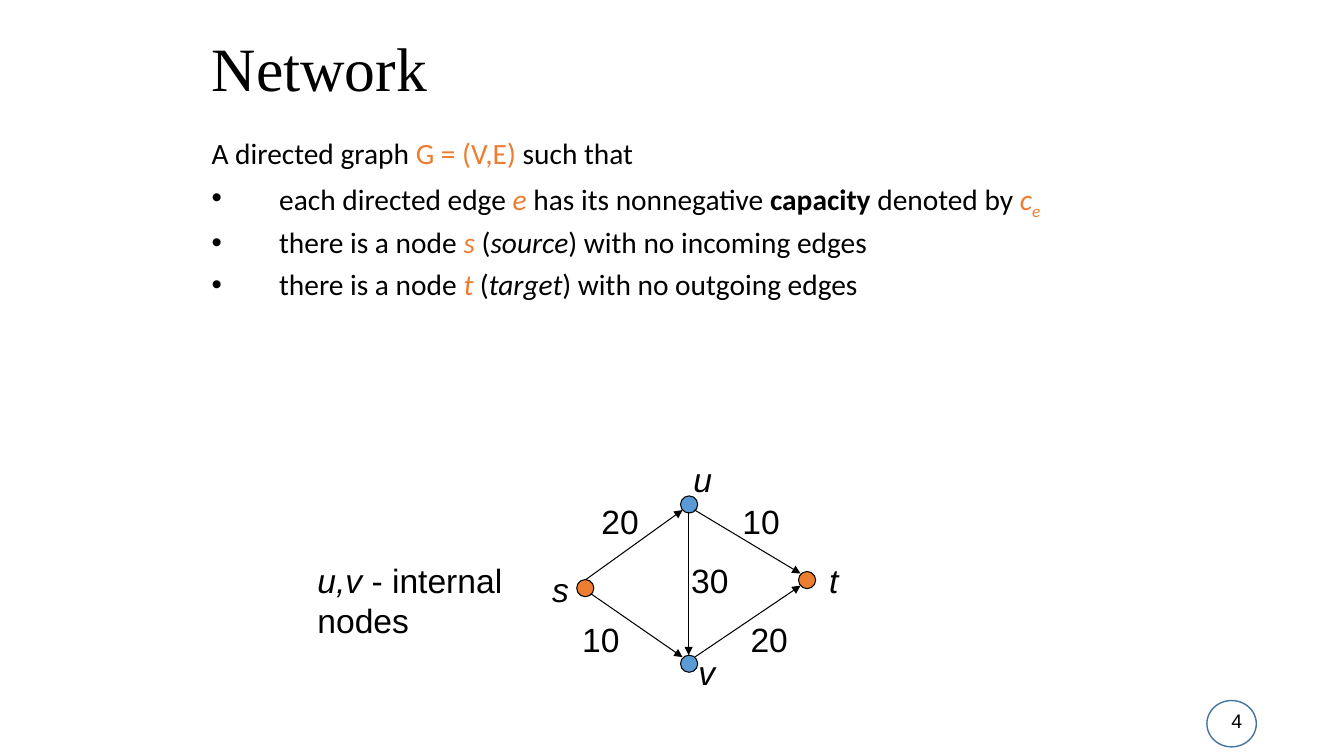
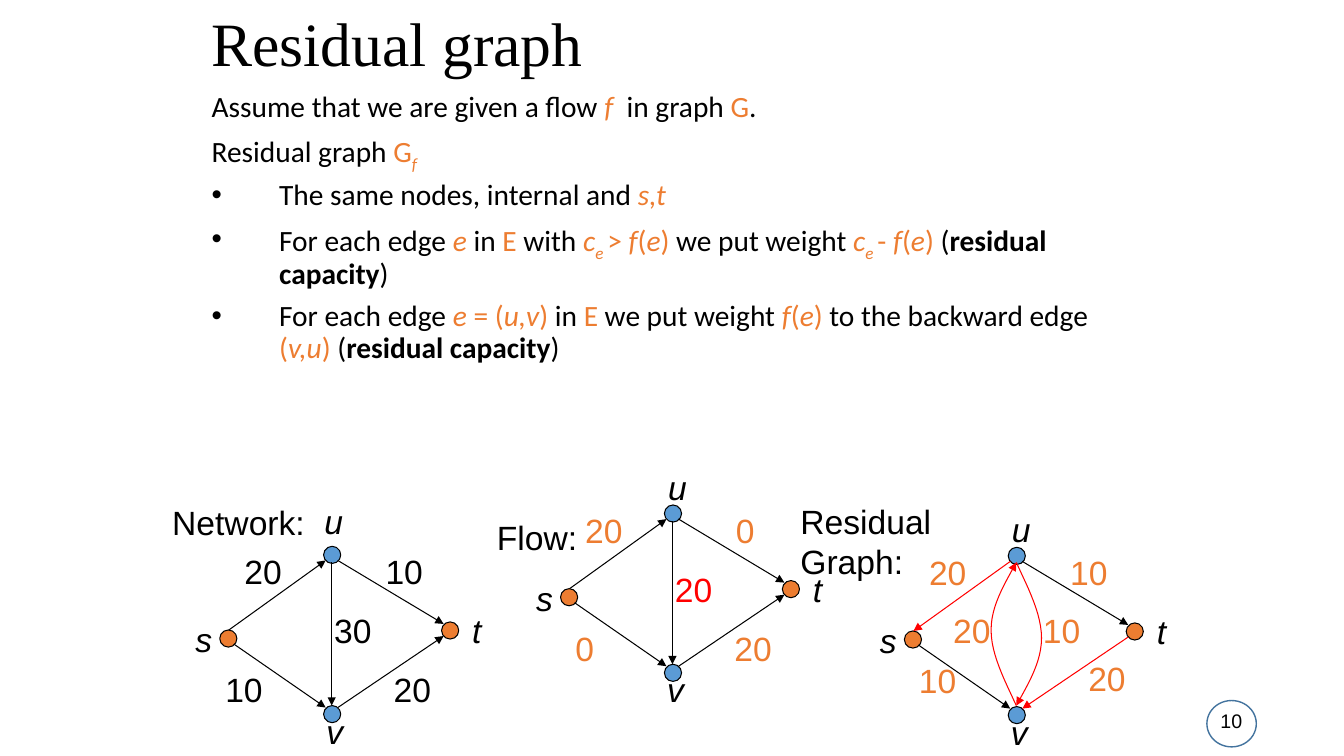
from lxml.etree import SubElement
from pptx import Presentation
from pptx.dml.color import RGBColor
from pptx.enum.shapes import MSO_CONNECTOR as Connector, MSO_SHAPE as Shape
from pptx.enum.text import MSO_ANCHOR as Anchor, MSO_AUTO_SIZE as AutoSize, PP_ALIGN as Align
from pptx.oxml.ns import qn
from pptx.util import Inches, Pt

BLACK, ORANGE, BLUE, RED, RING = "000000", "ED7D31", "5B9BD5", "FF0000", "43739E"
TITLE_FONT, BODY_FONT, LABEL_FONT = "Times New Roman", "Calibri", "Arial"

# Style letters: o orange, i italic, b bold, s subscript
SLIDES = [
    {
        "title": "Network", "title_top": 0.08, "body_top": 1.33, "number": "4",
        "intro": [
            [("A directed graph ", ""), ("G = (V,E)", "o"), (" such that", "")],
        ],
        "points": [
            [("each directed edge ", ""), ("e", "oi"), (" has its nonnegative ", ""),
             ("capacity", "b"), (" denoted by ", ""), ("c", "oi"), ("e", "ois")],
            [("there is a node ", ""), ("s", "oi"), (" (", ""), ("source", "i"),
             (") with no incoming edges", "")],
            [("there is a node ", ""), ("t", "oi"), (" (", ""), ("target", "i"),
             (") with no outgoing edges", "")],
        ],
        "graphs": [
            {"origin": (5.72, 4.92), "colour": BLACK,
             "weights": {"su": "20", "ut": "10", "sv": "10", "vt": "20", "uv": "30"},
             "moved": {"u": (1.25, -0.42), "v": (1.29, 1.5)}},
        ],
        "captions": [
            (3.05, 5.5, 2.05, 0.91, [[("u,v", "i"), (" - internal", "")], [("nodes", "")]]),
        ],
    },
    {
        "title": "Residual graph", "title_top": -0.16, "body_top": 0.86, "number": "10",
        "intro": [
            [("Assume that we are given a flow ", ""), ("f  ", "oi"), ("in graph ", ""),
             ("G", "o"), (".", "")],
            [("Residual graph ", ""), ("G", "o"), ("f", "ois")],
        ],
        "points": [
            [("The same nodes, internal and ", ""), ("s,t", "oi")],
            [("For each edge ", ""), ("e", "oi"), (" in ", ""), ("E", "o"), (" with ", ""),
             ("c", "oi"), ("e ", "ois"), ("> ", "o"), ("f", "oi"), ("(", "o"), ("e", "oi"),
             (")", "o"), (" we put weight ", ""), ("c", "oi"), ("e ", "ois"), ("- ", "o"),
             ("f", "oi"), ("(", "o"), ("e", "oi"), (")", "o"), (" (", ""),
             ("residual capacity", "b"), (")", "")],
            [("For each edge ", ""), ("e ", "oi"), ("= (", "o"), ("u,v", "oi"), (")", "o"),
             (" in ", ""), ("E", "o"), (" we put weight ", ""), ("f", "oi"), ("(", "o"),
             ("e", "oi"), (")", "o"), (" to the backward edge ", ""), ("(", "o"),
             ("v,u", "oi"), (") ", "o"), ("(", ""), ("residual capacity", "b"), (")", "")],
        ],
        "graphs": [
            {"origin": (2.18, 5.42), "colour": BLACK,
             "weights": {"su": "20", "ut": "10", "sv": "10", "vt": "20", "uv": "30"},
             "moved": {"u": (1.13, -0.5)}},
            {"origin": (5.56, 5.01), "colour": ORANGE, "uv_colour": RED,
             "weights": {"su": "20", "ut": "0", "sv": "0", "vt": "20", "uv": "20"}},
            {"origin": (8.97, 5.43), "colour": ORANGE, "backward": ("su", "vt"), "curved": True,
             "weights": {"su": "20", "ut": "10", "sv": "10", "vt": "20", "uv": "10", "vu": "20"},
             "moved": {"sv": (0.33, 1.07), "vt": (2.01, 1.05), "uv": (1.56, 0.57)}},
        ],
        "captions": [
            (1.61, 4.92, 1.53, 0.51, [[("Network:", "")]]),
            (4.83, 5.08, 1, 0.5, [[("Flow:", "")]]),
            (7.84, 4.91, 1.51, 0.91, [[("Residual", "")], [("Graph:", "")]]),
        ],
    },
]

DOT = 0.17
NODES = {"s": (0, 0.83, ORANGE), "u": (1.03, 0, BLUE),
         "t": (2.2, 0.75, ORANGE), "v": (1.03, 1.58, BLUE)}
EDGES = {
    "ut": ((1.17, 0.14), (2.22, 0.77)),
    "su": ((0.09, 0.83), (1.05, 0.14)),
    "sv": ((0.14, 0.97), (1.05, 1.6)),
    "vt": ((1.17, 1.6), (2.22, 0.89)),
    "uv": ((1.11, 0.16), (1.11, 1.58)),
}
LABEL_SPOTS = {
    "s": (-0.16, 0.67), "t": (2.55, 0.58), "u": (1.16, -0.43), "v": (1.14, 1.58),
    "su": (0.49 - 0.06, 0), "ut": (1.83, 0), "sv": (0.24, 1.17), "vt": (1.91, 1.17),
    "uv": (1.32, 0.58), "vu": (0.67, 0.57),
}
LABEL_WIDTH, LABEL_HEIGHT = 0.57, 0.5
CURVE_CENTRE = (1.11, 0.86)
CURVE_UP = [(1.11, 1.57), (0.99, 1.31), (0.86, 1.06), (0.86, 0.82),
            (0.86, 0.58), (0.99, 0.37), (1.11, 0.15)]
CURVE_STEPS = 12


def rgb(colour):
    return RGBColor.from_string(colour)


def add_runs(paragraph, runs, font_name, size, colour=BLACK):
    for words, style in runs:
        run = paragraph.add_run()
        run.text = words
        run.font.name, run.font.size = font_name, Pt(size)
        run.font.color.rgb = rgb(ORANGE if "o" in style else colour)
        run.font.italic, run.font.bold = "i" in style, "b" in style
        if "s" in style:
            run.font._element.set("baseline", "-25000")


def add_text(slide, box, paragraphs, font_name, size, colour=BLACK,
             align=Align.LEFT, wrap=True, anchor=Anchor.MIDDLE):
    frame = slide.shapes.add_textbox(*map(Inches, box)).text_frame
    frame.word_wrap, frame.vertical_anchor = wrap, anchor
    frame.auto_size = AutoSize.NONE if wrap else AutoSize.SHAPE_TO_FIT_TEXT
    for index, runs in enumerate(paragraphs):
        paragraph = frame.add_paragraph() if index else frame.paragraphs[0]
        paragraph.alignment = align
        add_runs(paragraph, runs, font_name, size, colour)
    return frame


def add_ellipse(slide, box, line, width, fill=None):
    ellipse = slide.shapes.add_shape(Shape.OVAL, *map(Inches, box))
    ellipse.shadow.inherit = False
    if fill:
        ellipse.fill.solid()
        ellipse.fill.fore_color.rgb = rgb(fill)
    else:
        ellipse.fill.background()
    ellipse.line.color.rgb, ellipse.line.width = rgb(line), Pt(width)


def style_arrow(arrow, colour):
    arrow.line.color.rgb, arrow.line.width = rgb(colour), Pt(0.75)
    SubElement(arrow.line._get_or_add_ln(), qn("a:tailEnd"), type="triangle")


def add_edge(slide, start, end, colour):
    edge = slide.shapes.add_connector(Connector.STRAIGHT, *map(Inches, (*start, *end)))
    style_arrow(edge, colour)
    SubElement(edge._element.spPr, qn("a:effectLst"))


def bezier(p0, p1, p2, p3):
    for step in range(1, CURVE_STEPS + 1):
        t = step / CURVE_STEPS
        yield tuple((1 - t) ** 3 * a + 3 * (1 - t) ** 2 * t * b + 3 * (1 - t) * t ** 2 * c + t ** 3 * d
                    for a, b, c, d in zip(p0, p1, p2, p3))


def add_curve(slide, controls):
    points = [*bezier(*controls[:4]), *bezier(*controls[3:])]
    builder = slide.shapes.build_freeform(*map(Inches, controls[0]))
    builder.add_line_segments([(Inches(x), Inches(y)) for x, y in points], close=False)
    curve = builder.convert_to_shape()
    curve.shadow.inherit = False
    curve.fill.background()
    style_arrow(curve, RED)


def add_graph(slide, graph):
    def place(point):
        return graph["origin"][0] + point[0], graph["origin"][1] + point[1]

    for x, y, fill in NODES.values():
        add_ellipse(slide, (*place((x, y)), DOT, DOT), BLACK, 0.75, fill)

    curved = graph.get("curved", False)
    for name, (start, end) in EDGES.items():
        if name == "uv" and curved:
            continue
        if name in graph.get("backward", ()):
            add_edge(slide, place(end), place(start), RED)
        else:
            add_edge(slide, place(start), place(end), BLACK)
    if curved:
        curve_down = [(2 * CURVE_CENTRE[0] - x, 2 * CURVE_CENTRE[1] - y) for x, y in CURVE_UP]
        for controls in (CURVE_UP, curve_down):
            add_curve(slide, [place(point) for point in controls])

    spots = {**LABEL_SPOTS, **graph.get("moved", {})}
    labels = [(node, node, "i", BLACK) for node in NODES]
    for name, weight in graph["weights"].items():
        colour = graph.get("uv_colour", graph["colour"]) if name == "uv" else graph["colour"]
        labels.append((name, weight, "", colour))
    for name, words, style, colour in labels:
        centre, top = place(spots[name])
        add_text(slide, (centre - LABEL_WIDTH / 2, top, LABEL_WIDTH, LABEL_HEIGHT),
                 [[(words, style)]], LABEL_FONT, 24, colour, Align.CENTER, wrap=False)


def add_body(slide, top, intro, points):
    frame = add_text(slide, (2, top, 9.42, 3.92), intro + points, BODY_FONT, 21, anchor=Anchor.TOP)
    for index, paragraph in enumerate(frame.paragraphs):
        paragraph.line_spacing = 0.9
        paragraph.space_before = Pt(7.5 if index else 0)
        properties = paragraph._p.get_or_add_pPr()
        properties.set("marL", str(Inches(0.67)))
        properties.set("indent", str(-Inches(0.67)))
        if index >= len(intro):
            SubElement(properties, qn("a:buFont"), typeface="Arial")
            SubElement(properties, qn("a:buChar"), char="•")


def add_frame(slide, title, title_top, number):
    add_ellipse(slide, (11.97, 6.95, 0.49, 0.46), RING, 1)
    add_text(slide, (9.42, 6.95, 3, 0.4), [[(number, "")]], LABEL_FONT, 14, align=Align.RIGHT)
    heading = add_text(slide, (2, title_top, 9.17, 1.25), [[(title, "")]], TITLE_FONT, 44)
    heading.paragraphs[0].line_spacing = 0.9


def main():
    deck = Presentation()
    deck.slide_width, deck.slide_height = Inches(13.33), Inches(7.5)
    for content in SLIDES:
        slide = deck.slides.add_slide(deck.slide_layouts[6])
        add_frame(slide, content["title"], content["title_top"], content["number"])
        add_body(slide, content["body_top"], content["intro"], content["points"])
        for graph in content["graphs"]:
            add_graph(slide, graph)
        for *box, paragraphs in content["captions"]:
            add_text(slide, box, paragraphs, LABEL_FONT, 24, wrap=False)
    deck.save("out.pptx")


if __name__ == "__main__":
    main()
